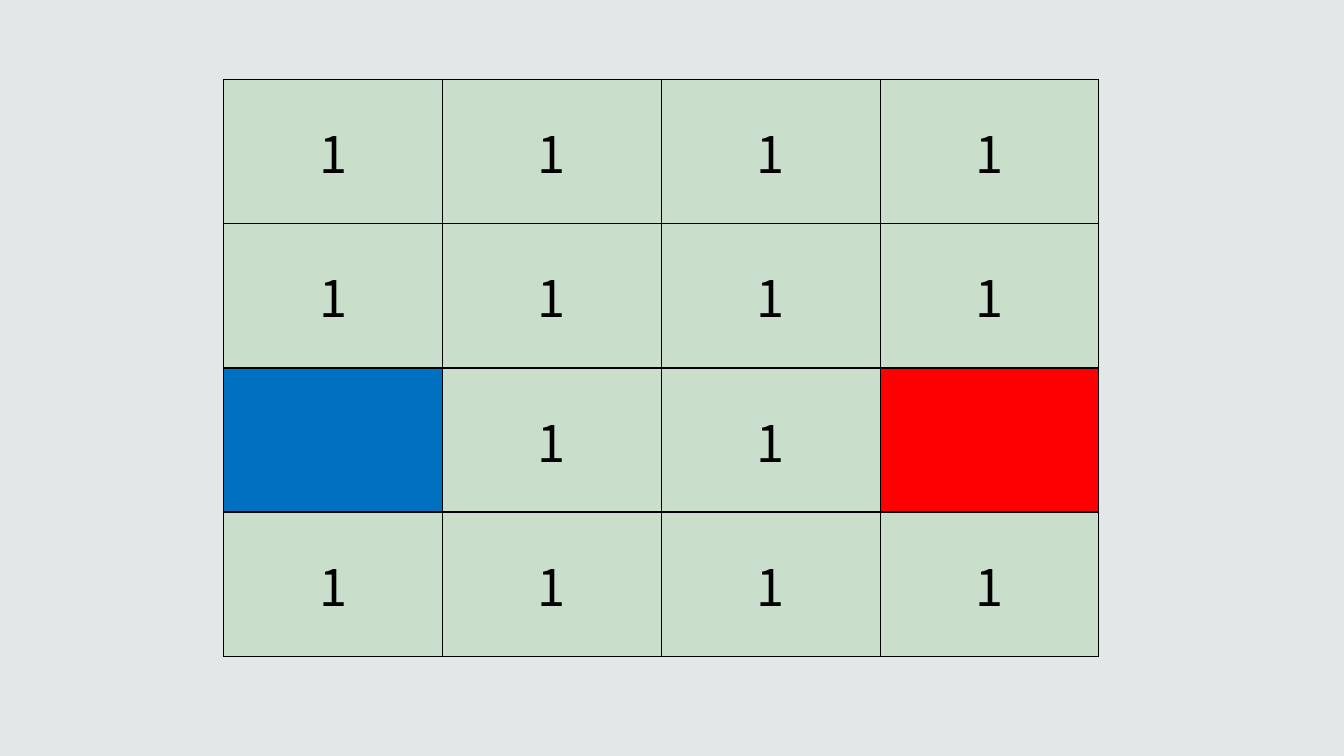
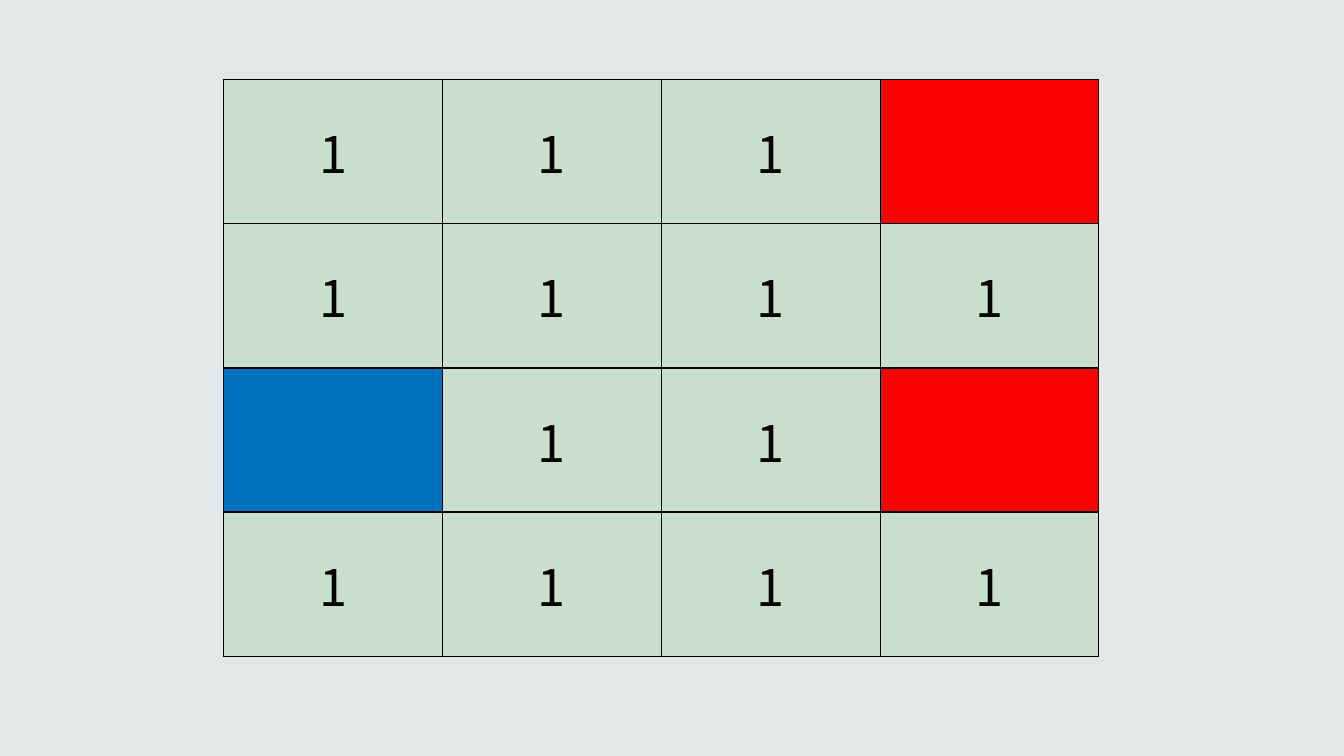
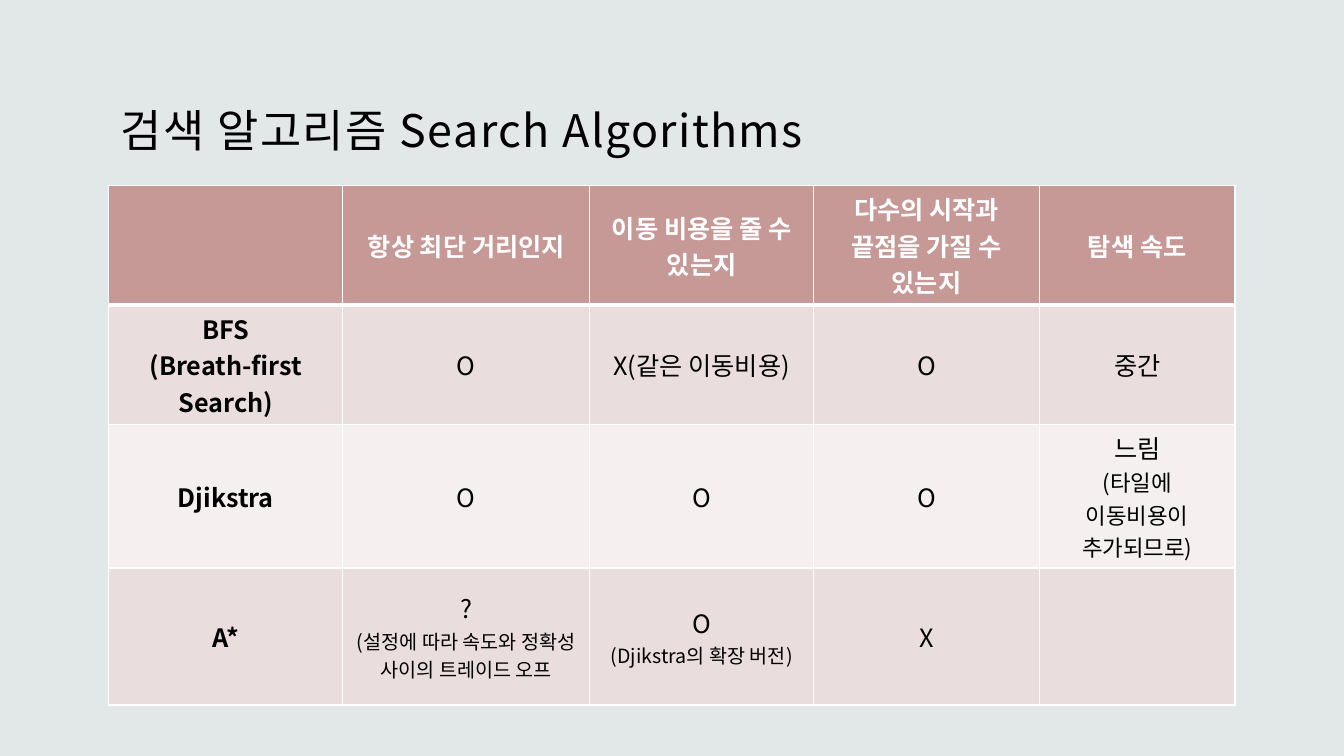
from lxml import etree
from pptx import Presentation
from pptx import util as u
from pptx.dml.color import RGBColor
from pptx.enum import text
from pptx.oxml.ns import qn

BACKGROUND = RGBColor(0xE2, 0xE8, 0xE8)
BLACK = RGBColor(0x00, 0x00, 0x00)
WHITE = RGBColor(0xFF, 0xFF, 0xFF)
GREEN = RGBColor(0xC9, 0xDF, 0xCB)
BLUE = RGBColor(0x00, 0x70, 0xC0)
RED = RGBColor(0xFF, 0x00, 0x00)
ROSE = RGBColor(0xC6, 0x98, 0x96)
BANDS = (RGBColor(0xEA, 0xDD, 0xDD), RGBColor(0xF5, 0xEF, 0xEF))
FONT = "Noto Sans CJK KR"
TITLE_ONLY, BLANK = 5, 6

# Tile maps: 1 is an open tile, B the start, R a goal
TILE_FILLS = {"1": GREEN, "B": BLUE, "R": RED}
TILE_MAPS = (
    ("1111", "1111", "B11R", "1111"),
    ("111R", "1111", "B11R", "1111"),
)

# Comparison: each cell is its text, or its text with a note and the note's size
HEADINGS = ("", "항상 최단 거리인지", "이동 비용을 줄 수 있는지",
            "다수의 시작과 끝점을 가질 수 있는지", "탐색 속도")
ALGORITHMS = (
    (("BFS", "(Breath-first Search)", 18), "O", "X(같은 이동비용)", "O", "중간"),
    ("Djikstra", "O", "O", "O", ("느림", "(타일에 이동비용이 추가되므로)", 16)),
    ("A*", ("?", "(설정에 따라 속도와 정확성 사이의 트레이드 오프", 14),
     ("O", "(Djikstra의 확장 버전)", 14), "X", ""),
)


class Deck:
    """Shared style and the slide being built."""

    def __init__(self):
        self.prs = Presentation()
        self.prs.slide_width, self.prs.slide_height = u.Inches(13.33), u.Inches(7.5)
        fill = self.prs.slide_master.background.fill
        fill.solid()
        fill.fore_color.rgb = BACKGROUND
        self.s = None

    def slide(self, layout):
        self.s = self.prs.slides.add_slide(self.prs.slide_layouts[layout])

    def style(self, p, size, color=BLACK, bold=False, align=text.PP_ALIGN.CENTER, spacing=0):
        p.alignment = align
        font = p.font
        font.size, font.bold, font.name = u.Pt(size), bold, FONT
        font.color.rgb = color
        props = p._p.pPr.find(qn("a:defRPr"))
        etree.SubElement(props, qn("a:ea"), typeface=FONT)
        if spacing:
            props.set("spc", str(spacing * 100))

    def title(self, wording):
        sp = self.s.shapes.title
        sp.left, sp.top = u.Inches(1.08), u.Inches(0.43)
        sp.width, sp.height = u.Inches(11.17), u.Inches(1.22)
        tf = sp.text_frame
        tf.text = wording
        tf.word_wrap, tf.auto_size = True, text.MSO_AUTO_SIZE.NONE
        tf.vertical_anchor = text.MSO_ANCHOR.BOTTOM
        tf.margin_left = tf.margin_top = tf.margin_right = u.Inches(0.12)
        tf.margin_bottom = u.Inches(0.1)
        self.style(tf.paragraphs[0], 32, align=text.PP_ALIGN.LEFT, spacing=1)

    def table(self, left, top, widths, heights):
        frame = self.s.shapes.add_table(
            len(heights), len(widths), u.Inches(left), u.Inches(top),
            u.Inches(sum(widths)), u.Inches(sum(heights)))
        table = frame.table
        table.first_row = table.horz_banding = False
        for column, width in zip(table.columns, widths):
            column.width = u.Inches(width)
        for row, height in zip(table.rows, heights):
            row.height = u.Inches(height)
        return table

    def cell(self, cell, lines, fill, border, bottom=1, **look):
        """Fill a cell; lines are (text, size) pairs."""
        tc_pr = cell._tc.get_or_add_tcPr()
        for side, width in (("L", 1), ("R", 1), ("T", 1), ("B", bottom)):
            ln = etree.SubElement(tc_pr, qn("a:ln" + side), w=str(u.Pt(width)))
            solid = etree.SubElement(ln, qn("a:solidFill"))
            etree.SubElement(solid, qn("a:srgbClr"), val=str(border))
        cell.fill.solid()
        cell.fill.fore_color.rgb = fill
        cell.vertical_anchor = text.MSO_ANCHOR.MIDDLE
        tf = cell.text_frame
        for i, (wording, size) in enumerate(lines):
            p = tf.add_paragraph() if i else tf.paragraphs[0]
            if wording:
                p.add_run().text = wording
            self.style(p, size, **look)

    def tile_map(self, rows):
        self.slide(BLANK)
        table = self.table(2.22, 0.79, [2.17] * 4, [1.43] * 4)
        for r, row in enumerate(rows):
            for c, tile in enumerate(row):
                label = tile if tile == "1" else ""
                self.cell(table.cell(r, c), [(label, 36)], TILE_FILLS[tile], BLACK)

    def comparison(self, headings, rows):
        table = self.table(1.08, 1.84, (2.32, 2.45, 2.22, 2.24, 1.94),
                           (0.89, 0.95, 0.83, 1.36))
        for c, heading in enumerate(headings):
            self.cell(table.cell(0, c), [(heading, 18)], ROSE, WHITE,
                      bottom=3, color=WHITE, bold=True)
        for r, row in enumerate(rows):
            for c, entry in enumerate(row):
                if isinstance(entry, tuple):
                    wording, note, size = entry
                    lines = [(wording, 18), (note, size)]
                else:
                    lines = [(entry, 18)]
                self.cell(table.cell(r + 1, c), lines, BANDS[r % 2], WHITE, bold=c == 0)


def main():
    deck = Deck()

    # Tile maps with one and two goals
    for rows in TILE_MAPS:
        deck.tile_map(rows)

    # Comparison of the algorithms
    deck.slide(TITLE_ONLY)
    deck.title("검색 알고리즘 Search Algorithms")
    deck.comparison(HEADINGS, ALGORITHMS)

    deck.prs.save("out.pptx")


if __name__ == "__main__":
    main()
